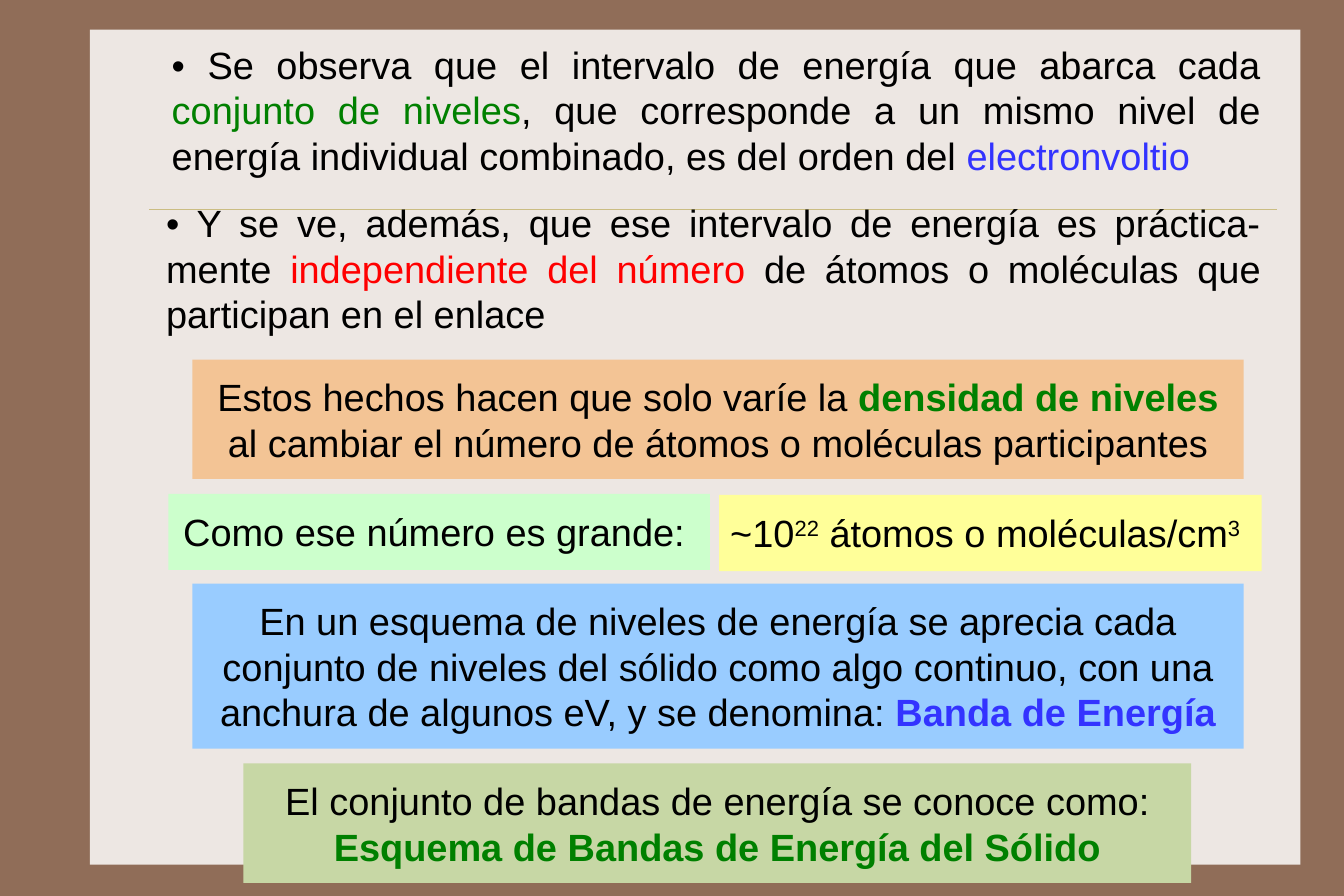
from dataclasses import dataclass, field

from lxml.etree import SubElement
from pptx import Presentation
from pptx.dml.color import RGBColor
from pptx.enum.shapes import MSO_CONNECTOR, MSO_SHAPE
from pptx.enum.text import MSO_ANCHOR, MSO_AUTO_SIZE, PP_ALIGN
from pptx.oxml.ns import qn
from pptx.slide import Slide
from pptx.util import Inches, Pt

BLACK = RGBColor(0x00, 0x00, 0x00)
GREEN = RGBColor(0x00, 0x80, 0x00)
RED = RGBColor(0xFF, 0x00, 0x00)
BLUE = RGBColor(0x33, 0x33, 0xFF)
BROWN = RGBColor(0x90, 0x6D, 0x58)
PAPER = RGBColor(0xED, 0xE7, 0xE3)
RULE = RGBColor(0xCB, 0xBD, 0x83)
ORANGE = RGBColor(0xF3, 0xC4, 0x95)
MINT = RGBColor(0xCC, 0xFF, 0xCC)
SKY = RGBColor(0x99, 0xCC, 0xFF)
YELLOW = RGBColor(0xFF, 0xFF, 0x99)
OLIVE = RGBColor(0xC7, 0xD7, 0xA5)


@dataclass(frozen=True)
class Span:
    text: str
    color: RGBColor = BLACK
    bold: bool = False
    superscript: bool = False


@dataclass(frozen=True)
class Statement:
    """A block of text; box is left, top, width, height in inches."""
    box: tuple[float, float, float, float]
    paragraphs: list[list[Span]]
    fill: RGBColor | None = None
    align: PP_ALIGN = PP_ALIGN.CENTER
    margins: tuple[float, float] = (0.24, 0.12)
    frame: dict = field(default_factory=dict)


TOP = {"vertical_anchor": MSO_ANCHOR.TOP}

STATEMENTS = [
    Statement((1.38, 1.67, 9.78, 1.37), [[
        Span("• Y se ve, además, que ese intervalo de energía es práctica-mente "),
        Span("independiente del número", RED),
        Span(" de átomos o moléculas que participan en el enlace"),
    ]], align=PP_ALIGN.JUSTIFY, margins=(0.08, 0.08)),
    Statement((1.69, 3.16, 9.24, 1.05), [
        [Span("Estos hechos hacen que solo varíe la "),
         Span("densidad de niveles", GREEN, bold=True)],
        [Span("al cambiar el número de átomos o moléculas participantes")],
    ], ORANGE, margins=(0.12, 0.12)),
    Statement((1.43, 0.28, 9.73, 1.37), [[
        Span("• Se observa que el intervalo de energía que abarca cada "),
        Span("conjunto de niveles", GREEN),
        Span(", que corresponde a un mismo nivel de energía individual "
             "combinado, es del orden del "),
        Span("electronvoltio", BLUE),
    ]], align=PP_ALIGN.JUSTIFY, margins=(0.08, 0.08)),
    Statement((1.48, 4.34, 4.76, 0.67), [[Span("Como ese número es grande:")]],
              MINT, PP_ALIGN.LEFT, (0.13, 0.13), TOP),
    Statement((1.69, 5.13, 9.24, 1.45), [[
        Span("En un esquema de niveles de energía se aprecia cada conjunto de "
             "niveles del sólido como algo continuo, con una anchura de algunos "
             "eV, y se denomina: "),
        Span("Banda de Energía", BLUE, bold=True),
    ]], SKY),
    Statement((6.32, 4.35, 4.77, 0.67), [[
        Span("~10"), Span("22", superscript=True),
        Span(" átomos o moléculas/cm"), Span("3", superscript=True),
    ]], YELLOW, PP_ALIGN.LEFT, (0.1, 0.13), TOP | {"word_wrap": False}),
    Statement((2.14, 6.71, 8.33, 1.05), [[
        Span("El conjunto de bandas de energía se conoce como: "),
        Span("Esquema de Bandas de Energía del Sólido", GREEN, bold=True),
    ]], OLIVE),
]


def add_panel(slide: Slide, box: tuple[float, ...], fill: RGBColor):
    panel = slide.shapes.add_shape(MSO_SHAPE.RECTANGLE, *map(Inches, box))
    panel.shadow.inherit = False
    panel.fill.solid()
    panel.fill.fore_color.rgb = fill
    panel.line.fill.background()
    return panel


def add_rule(slide: Slide, left: float, right: float, y: float) -> None:
    rule = slide.shapes.add_connector(
        MSO_CONNECTOR.STRAIGHT, Inches(left), Inches(y), Inches(right), Inches(y))
    rule.line.color.rgb = RULE
    rule.line.width = Pt(0.25)
    SubElement(rule._element.spPr, qn("a:effectLst"))


def add_statement(slide: Slide, statement: Statement) -> None:
    if statement.fill is None:
        block = slide.shapes.add_textbox(*map(Inches, statement.box))
    else:
        block = add_panel(slide, statement.box, statement.fill)
    frame = block.text_frame
    side, end = map(Inches, statement.margins)
    settings = {
        "word_wrap": True, "auto_size": MSO_AUTO_SIZE.SHAPE_TO_FIT_TEXT,
        "vertical_anchor": MSO_ANCHOR.MIDDLE,
        "margin_left": side, "margin_right": side,
        "margin_top": end, "margin_bottom": end,
    } | statement.frame
    for name, value in settings.items():
        setattr(frame, name, value)
    for number, spans in enumerate(statement.paragraphs):
        paragraph = frame.add_paragraph() if number else frame.paragraphs[0]
        paragraph.alignment = statement.align
        for span in spans:
            run = paragraph.add_run()
            run.text = span.text
            font_format = {"name": "Arial", "size": Pt(24), "bold": span.bold}
            for name, value in font_format.items():
                setattr(run.font, name, value)
            run.font.color.rgb = span.color
            if span.superscript:
                run._r.get_or_add_rPr().set("baseline", "30000")


def main() -> None:
    presentation = Presentation()
    presentation.slide_width = Inches(189 / 16)
    presentation.slide_height = Inches(63 / 8)
    slide = presentation.slides.add_slide(presentation.slide_layouts[6])
    slide.background.fill.solid()
    slide.background.fill.fore_color.rgb = BROWN
    add_panel(slide, (0.79, 0.26, 10.64, 7.34), PAPER)
    add_rule(slide, 1.31, 11.22, 1.84)
    for statement in STATEMENTS:
        add_statement(slide, statement)
    presentation.save("out.pptx")


if __name__ == "__main__":
    main()
